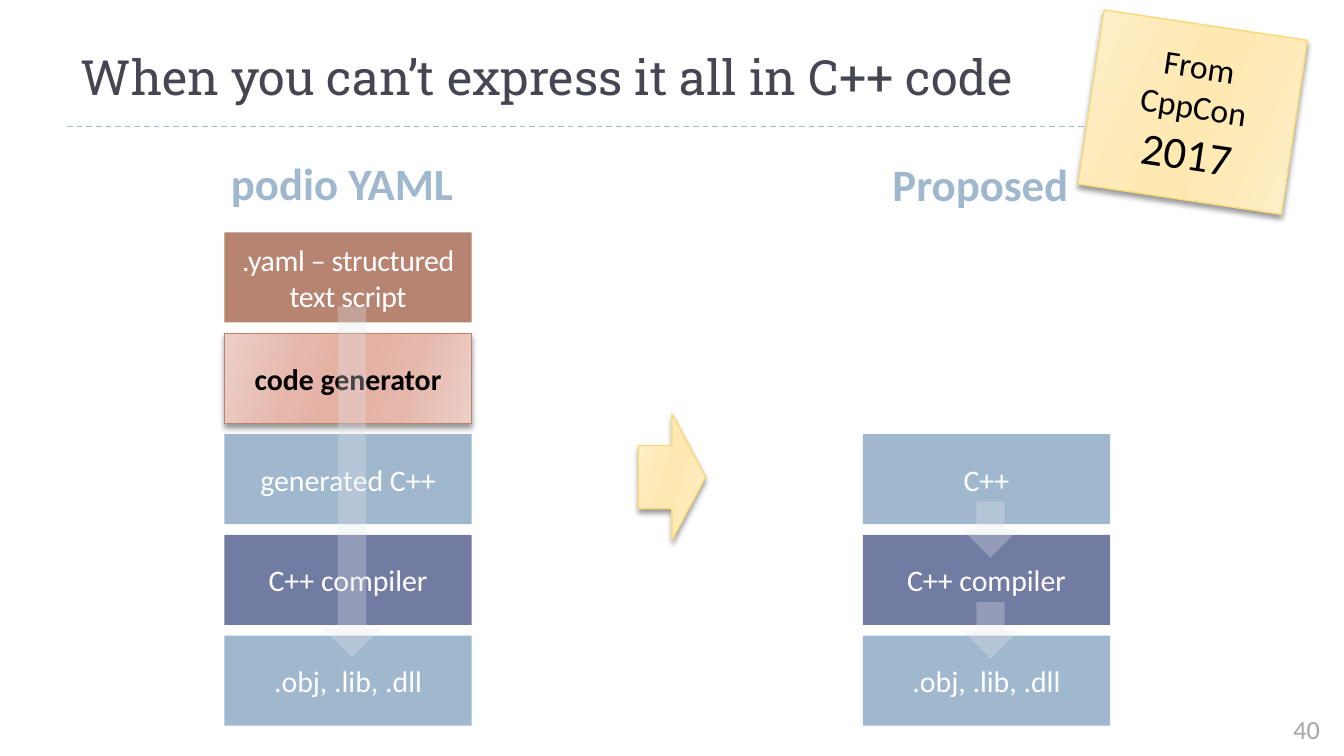
import lxml.etree
import pptx
import pptx.dml.color
import pptx.enum.dml
import pptx.enum.shapes
import pptx.enum.text
import pptx.oxml.ns
import pptx.util

Inches = pptx.util.Inches
Pt = pptx.util.Pt
qn = pptx.oxml.ns.qn
Kind = pptx.enum.shapes.MSO_SHAPE
Align = pptx.enum.text.PP_ALIGN
Anchor = pptx.enum.text.MSO_ANCHOR

BLUE, PURPLE, BROWN, GOLD = "9FB8CD", "727CA3", "B88472", "FADA7A"
STOPS = (0, 30, 45, 55, 73, 100)
ROSE = ("ECCEC6", "E6B8AC", "E4B1A3")
CREAM = ("FFF0CF", "FFEBBA", "FFE9B3")
TOP, STEP = 1.73, 0.75
LEFT, RIGHT = 1.67, 6.42


def color(code):
    """Turn a hex string into a colour."""
    return pptx.dml.color.RGBColor.from_string(code)


def style(part, size, code, bold=False, face="Calibri"):
    """Format the font of a run."""
    part.font.size = Pt(size)
    part.font.name = face
    part.font.bold = bold
    part.font.color.rgb = color(code)


def place(shape, left, top, width, height):
    """Move and size a shape."""
    shape.left, shape.top = Inches(left), Inches(top)
    shape.width, shape.height = Inches(width), Inches(height)


def write(shape, text, size, code, align, anchor, bold=False, face="Calibri"):
    """Put one formatted paragraph into a shape."""
    frame = shape.text_frame
    frame.word_wrap = True
    frame.auto_size = pptx.enum.text.MSO_AUTO_SIZE.NONE
    frame.vertical_anchor = anchor
    frame.text = text
    line = frame.paragraphs[0]
    line.alignment = align
    line.space_before = Pt(0)
    style(line.runs[0], size, code, bold, face)
    return line


def child(parent, tag, **attrs):
    """Add an XML element with attributes."""
    node = lxml.etree.SubElement(parent, qn(tag))
    for name, value in attrs.items():
        node.set(name, str(value))
    return node


def shape_at(slide, kind, left, top, width, height, fill, alpha=None):
    """Add a flat shape without an outline."""
    shape = slide.shapes.add_shape(kind, 0, 0, 0, 0)
    place(shape, left, top, width, height)
    shape.shadow.inherit = False
    shape.line.fill.background()
    shape.fill.solid()
    shape.fill.fore_color.rgb = color(fill)
    if alpha:
        tint = shape.element.spPr.find(".//" + qn("a:srgbClr"))
        child(tint, "a:alpha", val=alpha * 1000)
    return shape


def raise_up(shape, tones, edge):
    """Give a shape a gradient, an outline and a shadow."""
    shape.fill.gradient()
    grad = shape.element.spPr.find(qn("a:gradFill"))
    for node in list(grad):
        grad.remove(node)
    stops = child(grad, "a:gsLst")
    for pos, tone in zip(STOPS, tones + tones[::-1]):
        child(child(stops, "a:gs", pos=pos * 1000), "a:srgbClr", val=tone)
    child(grad, "a:lin", ang=16 * 60000, scaled=0)
    shape.line.color.rgb = color(edge)
    shape.line.width = Pt(0.75)
    effects = shape.element.spPr.find(qn("a:effectLst"))
    shade = child(effects, "a:outerShdw", blurRad=Pt(3), dist=Pt(2),
                  dir=90 * 60000, rotWithShape=0)
    child(child(shade, "a:srgbClr", val="000000"), "a:alpha", val=40000)


def block(slide, left, row, text, fill, code="FFFFFF", bold=False):
    """Add one labelled step of a stack."""
    shape = shape_at(slide, Kind.RECTANGLE, left, TOP + row * STEP, 1.84, 0.67, fill)
    write(shape, text, 16, code, Align.CENTER, Anchor.MIDDLE, bold)
    return shape


def flow(slide, left, top, height):
    """Add a see-through arrow down a stack."""
    shape_at(slide, Kind.DOWN_ARROW, left + 0.74, top, 0.42, height, "E3E5ED", 30)


def rule(slide):
    """Add the dashed line below the title."""
    line = slide.shapes.add_connector(
        pptx.enum.shapes.MSO_CONNECTOR.STRAIGHT,
        Inches(0.5), Inches(0.94), Inches(9.5), Inches(0.94))
    line.line.color.rgb = color(BLUE)
    line.line.width = Pt(0.75)
    line.line.dash_style = pptx.enum.dml.MSO_LINE.DASH
    child(line.element.spPr, "a:effectLst")


def heads(slide):
    """Fill the title and the two column heads."""
    spots = {item.placeholder_format.idx: item for item in slide.placeholders}
    place(spots[0], 0.5, 0.19, 9, 0.75)
    write(spots[0], "When you can’t express it all in C++ code", 26, "464653",
          Align.LEFT, Anchor.MIDDLE, face="Roboto Slab")
    for idx, left, top, text in ((1, 0.58, 1.05, "podio YAML"), (3, 5.33, 1.06, "Proposed")):
        place(spots[idx], left, top, 3.93, 0.56)
        write(spots[idx], text, 24, BLUE, Align.CENTER, Anchor.BOTTOM, True)
    for idx in (2, 4):
        node = spots[idx].element
        node.getparent().remove(node)


def stacks(slide):
    """Draw both build chains and their arrows."""
    script = block(slide, LEFT, 0, ".yaml – structured text script", BROWN)
    script.text_frame.paragraphs[0].runs[0].font._element.set("spc", "-20")
    maker = block(slide, LEFT, 1, "code generator", ROSE[0], "000000", True)
    raise_up(maker, ROSE, BROWN)
    for left, source in ((LEFT, "generated C++"), (RIGHT, "C++")):
        block(slide, left, 2, source, BLUE)
        block(slide, left, 3, "C++ compiler", PURPLE)
        block(slide, left, 4, ".obj, .lib, .dll", BLUE)
    flow(slide, LEFT, 2.28, 2.61)
    for row in range(2):
        flow(slide, RIGHT, 3.73 + row * STEP, 0.42)


def note(slide):
    """Add the tilted sticky note."""
    shape = shape_at(slide, Kind.RECTANGLE, 8.11, 0.18, 1.53, 1.31, CREAM[0])
    shape.rotation = 8.5
    raise_up(shape, CREAM, GOLD)
    line = write(shape, "From CppCon ", 18, "000000", Align.CENTER, Anchor.MIDDLE)
    year = line.add_run()
    year.text = "2017"
    style(year, 24, "000000")


def main():
    """Build and save the slide."""
    deck = pptx.Presentation()
    deck.slide_width = Inches(10)
    deck.slide_height = deck.slide_width * 9 // 16
    slide = deck.slides.add_slide(deck.slide_layouts[4])
    rule(slide)
    heads(slide)
    stacks(slide)
    page = slide.shapes.add_textbox(Inches(7.75), Inches(5.26), Inches(2.17), Inches(0.3))
    write(page, "40", 14, "A6A6A6", Align.RIGHT, Anchor.TOP)
    note(slide)
    arrow = shape_at(slide, Kind.RIGHT_ARROW, 4.75, 3.08, 0.5, 0.94, CREAM[0])
    raise_up(arrow, CREAM, GOLD)
    deck.save("out.pptx")


if __name__ == "__main__":
    main()
